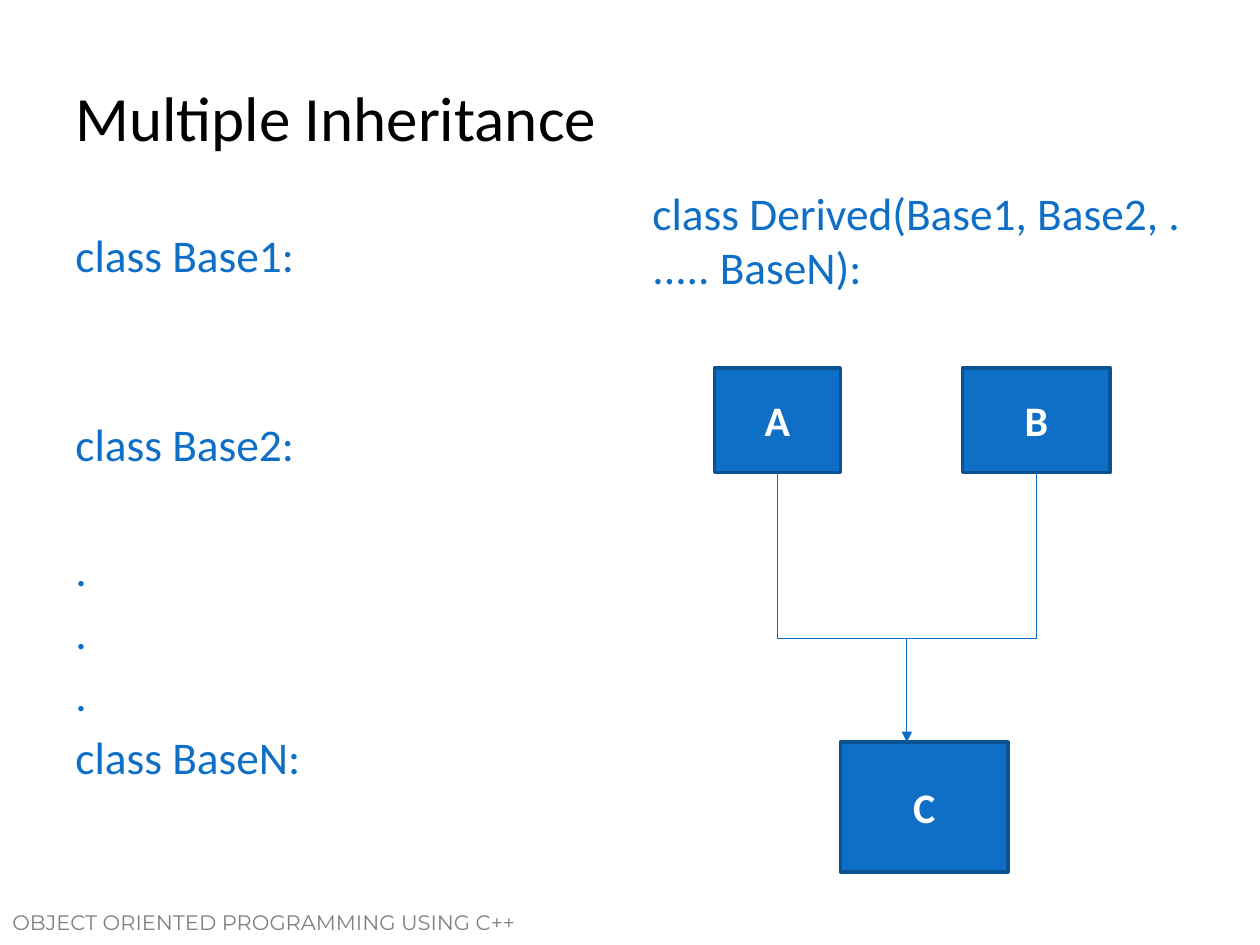
from lxml import etree
from pptx import Presentation
from pptx.dml.color import RGBColor
from pptx.enum.shapes import MSO_CONNECTOR, MSO_SHAPE
from pptx.enum.text import MSO_ANCHOR, PP_ALIGN
from pptx.oxml.ns import qn
from pptx.util import Inches, Pt

STRAIGHT = MSO_CONNECTOR.STRAIGHT
RECTANGLE = MSO_SHAPE.RECTANGLE
TOP, MIDDLE = MSO_ANCHOR.TOP, MSO_ANCHOR.MIDDLE
CENTER = PP_ALIGN.CENTER

COLORS = {"title": "000000", "code": "0F6FC6", "border": "0B5292",
          "link": "0A6DC6", "label": "FFFFFF", "footer": "808080"}
CODE_SIZE, CODE_GAP, CODE_PITCH = 25.9, 4.6, 36.2

TITLE = "Multiple Inheritance"
FOOTER = "OBJECT ORIENTED PROGRAMMING USING C++"
BASE_LINES = [("class Base1:", 0), ("class Base2:", 2), (".", 1),
              (".", 0), (".", 0), ("class BaseN:", 0)]
DERIVED_LINES = [("class Derived(Base1, Base2, ...... BaseN):", 0)]
CLASSES = {"A": (5.67, 2.92, 1, 0.83),
           "B": (7.64, 2.92, 1.17, 0.83),
           "C": (6.67, 5.89, 1.33, 1.03)}
JOIN_Y = 5.07


def rgb(name):
    return RGBColor.from_string(COLORS[name])


def style(paragraph, size, color, font="Calibri", bold=False):
    for run in paragraph.runs:
        run.font.size = Pt(size)
        run.font.name = font
        run.font.bold = bold
        run.font.color.rgb = rgb(color)


def add_text(slide, place, lines, size, color, font="Calibri", anchor=TOP):
    frame = slide.shapes.add_textbox(*map(Inches, place)).text_frame
    frame.word_wrap = True
    frame.vertical_anchor = anchor
    for index, (line, skipped) in enumerate(lines):
        paragraph = frame.add_paragraph() if index else frame.paragraphs[0]
        paragraph.text = line
        if index:
            paragraph.space_before = Pt(CODE_GAP + skipped * CODE_PITCH)
        style(paragraph, size, color, font)


def add_code(slide, place, lines):
    unbroken = [(line.replace(" ", chr(160)), skipped) for line, skipped in lines]
    add_text(slide, place, unbroken, CODE_SIZE, "code")


def add_class(slide, label, place):
    box = slide.shapes.add_shape(RECTANGLE, *map(Inches, place))
    box.shadow.inherit = False
    box.fill.solid()
    box.fill.fore_color.rgb = rgb("code")
    box.line.color.rgb = rgb("border")
    box.line.width = Pt(2)
    box.text_frame.text = label
    box.text_frame.vertical_anchor = MIDDLE
    paragraph = box.text_frame.paragraphs[0]
    paragraph.alignment = CENTER
    style(paragraph, 24, "label", bold=True)


def add_link(slide, start, end, arrow=False):
    link = slide.shapes.add_connector(STRAIGHT, *map(Inches, start + end))
    link.line.color.rgb = rgb("link")
    link.line.width = Pt(0.75)
    if arrow:
        etree.SubElement(link.line._get_or_add_ln(), qn("a:tailEnd"), type="triangle")
    etree.SubElement(link._element.spPr, qn("a:effectLst"))


def main():
    deck = Presentation()
    deck.slide_width, deck.slide_height = Inches(10), Inches(7.5)
    slide = deck.slides.add_slide(deck.slide_layouts[6])

    add_text(slide, (0, 7.17, 5, 0.42), [(FOOTER, 0)], 12, "footer", "Montserrat")
    add_text(slide, (0.5, 0.3, 9, 1.25), [(TITLE, 0)], 36, "title", anchor=MIDDLE)
    add_code(slide, (0.5, 1.75, 4.42, 4.95), BASE_LINES)
    add_code(slide, (5.08, 1.42, 4.42, 5.28), DERIVED_LINES)

    for label, place in CLASSES.items():
        add_class(slide, label, place)

    joins = []
    for parent in "AB":
        left, top, width, height = CLASSES[parent]
        x = left + width / 2
        joins.append((x, JOIN_Y))
        add_link(slide, (x, top + height), joins[-1])
    add_link(slide, *joins)
    middle = sum(x for x, y in joins) / 2
    add_link(slide, (middle, JOIN_Y), (middle, CLASSES["C"][1]), arrow=True)

    deck.save("out.pptx")


if __name__ == "__main__":
    main()
